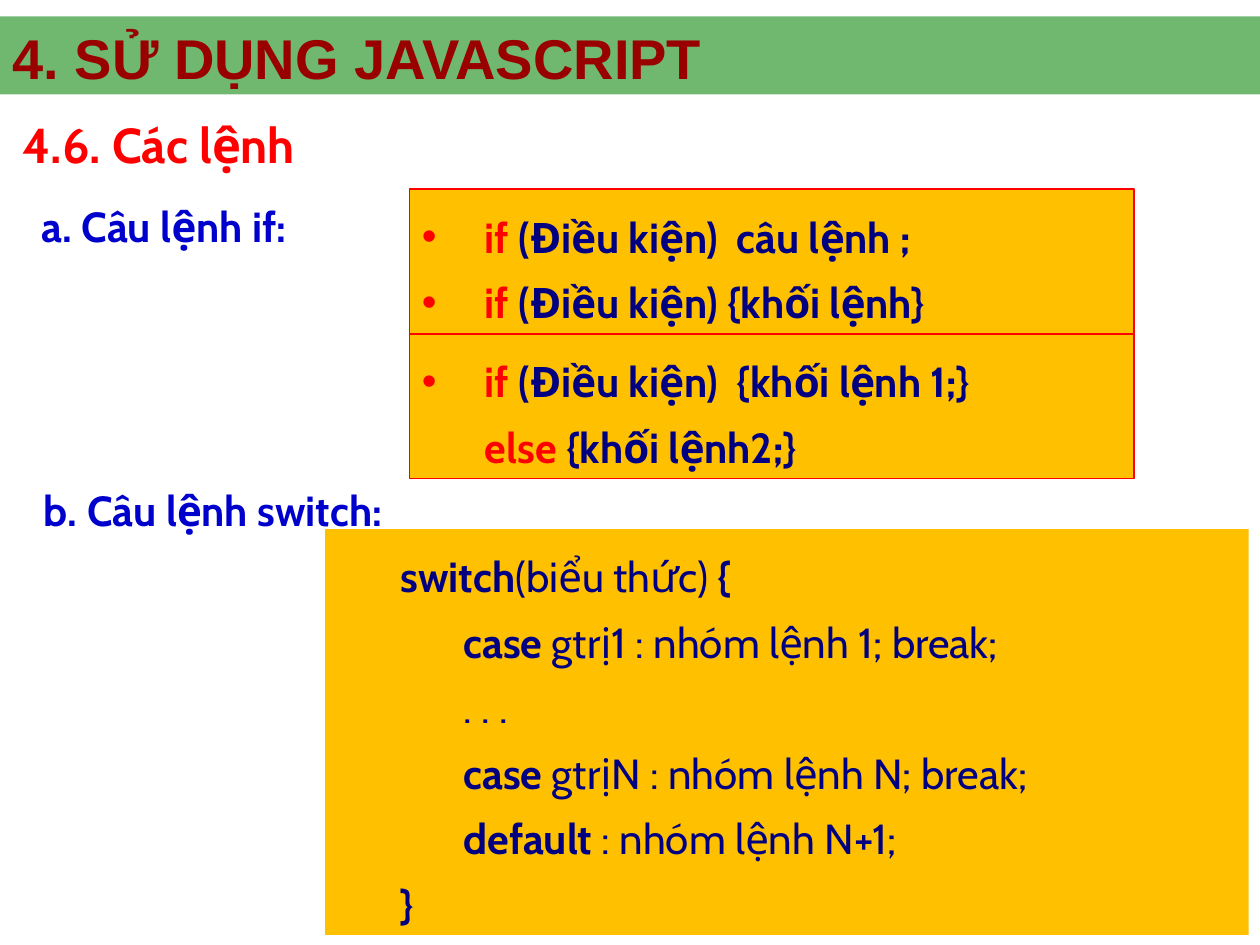
from lxml.etree import SubElement
from pptx import Presentation
from pptx.dml.color import RGBColor
from pptx.enum.shapes import MSO_SHAPE
from pptx.enum.text import MSO_ANCHOR, MSO_AUTO_SIZE, PP_ALIGN
from pptx.oxml.ns import qn
from pptx.util import Inches, Pt

COLORS = {
    "band": "008000",
    "title": "990000",
    "red": "FF0000",
    "heading": "0000CC",
    "code": "000080",
    "box": "FFC000",
}


def color(name):
    return RGBColor.from_string(COLORS[name])


def add_bullet(properties):
    bullet_color = SubElement(properties, qn("a:buClr"))
    SubElement(bullet_color, qn("a:srgbClr")).set("val", COLORS["red"])
    SubElement(properties, qn("a:buFont")).set("typeface", "Arial")
    SubElement(properties, qn("a:buChar")).set("char", "•")


def write_text(shape, lines, size=24, font="Cabin", spacing=None,
               insets=(0.1, 0.05, 0.1, 0.05)):
    """Each line is (left margin, has bullet, [(text, color, bold), ...])."""
    frame = shape.text_frame
    frame.word_wrap = True
    frame.auto_size = MSO_AUTO_SIZE.NONE
    frame.vertical_anchor = MSO_ANCHOR.MIDDLE
    frame.margin_left, frame.margin_top, frame.margin_right, frame.margin_bottom = map(Inches, insets)
    for index, (margin, has_bullet, runs) in enumerate(lines):
        paragraph = frame.paragraphs[0] if index == 0 else frame.add_paragraph()
        properties = paragraph._p.get_or_add_pPr()
        properties.set("marL", str(Inches(margin)))
        properties.set("indent", str(Inches(-margin if has_bullet else 0)))
        if has_bullet:
            add_bullet(properties)
        paragraph.alignment = PP_ALIGN.LEFT
        if spacing:
            paragraph.line_spacing = spacing
        for text, color_name, bold in runs:
            run = paragraph.add_run()
            run.text = text
            run.font.name = font
            run.font.size = Pt(size)
            run.font.bold = bold
            run.font.color.rgb = color(color_name)


def add_box(slide, box, fill, line=None):
    shape = slide.shapes.add_shape(MSO_SHAPE.RECTANGLE, *map(Inches, box))
    shape.shadow.inherit = False
    shape.fill.solid()
    shape.fill.fore_color.rgb = color(fill)
    if line:
        shape.line.color.rgb = color(line)
        shape.line.width = Pt(0.75)
    else:
        shape.line.fill.background()
    return shape


def add_title(slide, box, text):
    left, top, width, height = box
    band = add_box(slide, box, "band")
    fill_color = band._element.spPr.find(qn("a:solidFill"))[0]
    SubElement(fill_color, qn("a:alpha")).set("val", "56000")
    title = slide.shapes.title
    title._element.addprevious(band._element)
    title.left, title.top = Inches(left), Inches(top + 0.11)
    title.width, title.height = Inches(width), Inches(height - 0.2)
    write_text(title, [(0, False, [(text, "title", True)])], size=32, font="Arial")


def add_heading(slide, box, text, color_name="heading", **text_format):
    heading = slide.shapes.add_textbox(*map(Inches, box))
    write_text(heading, [(0, False, [(text, color_name, True)])], **text_format)


def add_code(slide, box, lines, line=None):
    write_text(add_box(slide, box, "box", line), lines, spacing=1.3)


def add_if_boxes(slide, box):
    left, top, width, height = box
    forms = [
        [("if", " (Điều kiện)  câu lệnh ;", True),
         ("if", " (Điều kiện) {khối lệnh}", True)],
        [("if", " (Điều kiện)  {khối lệnh 1;}", True),
         ("else", " {khối lệnh2;}", False)],
    ]
    row_height = height / len(forms)
    for row, form in enumerate(forms):
        lines = [(0.5, has_bullet, [(keyword, "red", True), (rest, "code", True)])
                 for keyword, rest, has_bullet in form]
        add_code(slide, (left, top + row * row_height, width, row_height), lines, "red")


def add_switch_box(slide, box):
    # Left margin, then (text, bold) pieces
    statements = [
        (0.5, [("switch", True), ("(biểu thức) ", False), ("{", True)]),
        (1, [("case", True), (" gtrị1 : nhóm lệnh 1; break;", False)]),
        (1, [(". . .", False)]),
        (1, [("case", True), (" gtrịN : nhóm lệnh N; break;", False)]),
        (1, [("default", True), (" : nhóm lệnh N+1;", False)]),
        (0.5, [("}", True)]),
    ]
    add_code(slide, box, [(margin, False, [(text, "code", bold) for text, bold in pieces])
                          for margin, pieces in statements])


def main():
    presentation = Presentation()
    presentation.slide_width, presentation.slide_height = Inches(10), Inches(7.5)
    slide = presentation.slides.add_slide(presentation.slide_layouts[5])

    # Title band and section heading
    add_title(slide, (0, 0.13, 10, 0.62), "4. SỬ DỤNG JAVASCRIPT")
    add_heading(slide, (0.08, 0.83, 9.33, 0.63), "4.6. Các lệnh", "red", size=28)

    # The if statement
    add_heading(slide, (0.33, 1.42, 2.75, 0.61), "a. Câu lệnh if:",
                insets=(0, 0.17, 0, 0.04))
    add_if_boxes(slide, (3.25, 1.5, 5.75, 2.3))

    # The switch statement
    add_heading(slide, (0.25, 3.67, 3.75, 0.75), "b. Câu lệnh switch:")
    add_switch_box(slide, (2.58, 4.2, 7.33, 3.22))

    presentation.save("out.pptx")


if __name__ == "__main__":
    main()
